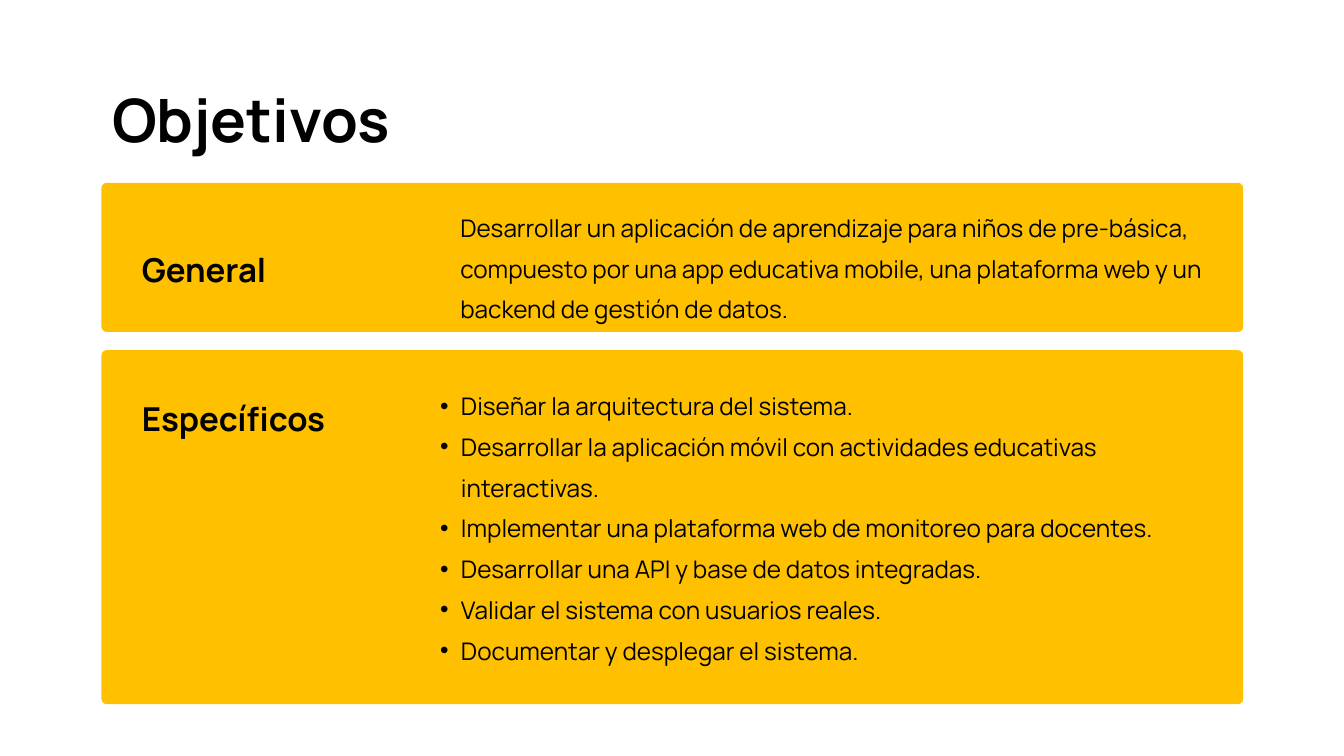
from lxml.etree import SubElement
from pptx import Presentation
from pptx.dml.color import RGBColor
from pptx.enum.shapes import MSO_SHAPE
from pptx.enum.text import MSO_ANCHOR, PP_ALIGN
from pptx.oxml.ns import qn
from pptx.util import Emu, Inches, Pt

AMBER = RGBColor(0xFF, 0xC0, 0x00)
BLACK = RGBColor(0x00, 0x00, 0x00)
WHITE = RGBColor(0xFF, 0xFF, 0xFF)

COLUMNS, ROWS = 20, 11.25
CORNER_RADIUS = 0.08

TITLE = {"size": Pt(64), "bold": True, "spacing": 1.08}
HEADING = {"size": Pt(35.3), "bold": True, "spacing": 1.77}
BODY = {"size": Pt(26), "bold": False, "spacing": 1.4}


class ObjectivesSlide:
    """Holds the style and the current slide; lengths are grid columns and rows."""

    font_name = "Manrope"

    def __init__(self, presentation):
        self.column = presentation.slide_width / COLUMNS
        self.row = presentation.slide_height / ROWS
        self.slide = presentation.slides.add_slide(presentation.slide_layouts[6])
        background = self.slide.background.fill
        background.solid()
        background.fore_color.rgb = WHITE

    def place(self, left, top, width, height):
        lengths = (left * self.column, top * self.row,
                   width * self.column, height * self.row)
        return [Emu(round(length)) for length in lengths]

    def panel(self, *area):
        shape = self.slide.shapes.add_shape(
            MSO_SHAPE.ROUNDED_RECTANGLE, *self.place(*area))
        shape.adjustments[0] = CORNER_RADIUS / min(area[2:])
        shape.shadow.inherit = False
        shape.fill.solid()
        shape.fill.fore_color.rgb = AMBER
        shape.line.fill.background()

    def text(self, lines, style, *area, bulleted=False):
        frame = self.slide.shapes.add_textbox(*self.place(*area)).text_frame
        settings = {"word_wrap": True, "vertical_anchor": MSO_ANCHOR.TOP,
                    "margin_left": 0, "margin_top": 0,
                    "margin_right": 0, "margin_bottom": 0}
        for name, value in settings.items():
            setattr(frame, name, value)
        for index, line in enumerate(lines):
            paragraph = frame.add_paragraph() if index else frame.paragraphs[0]
            if bulleted:
                self.bullet(paragraph)
            paragraph.alignment = PP_ALIGN.LEFT
            paragraph.line_spacing = style["spacing"]
            run = paragraph.add_run()
            run.text = line
            font_format = {"name": self.font_name, "size": style["size"],
                           "bold": style["bold"]}
            for name, value in font_format.items():
                setattr(run.font, name, value)
            run.font.color.rgb = BLACK

    def bullet(self, paragraph):
        properties = paragraph._p.get_or_add_pPr()
        properties.set("marL", str(Inches(0.61)))
        properties.set("indent", str(Inches(-0.31)))
        color = SubElement(properties, qn("a:buClr"))
        SubElement(color, qn("a:srgbClr"), val=str(BLACK))
        SubElement(properties, qn("a:buFont"), typeface="Arial")
        SubElement(properties, qn("a:buChar"), char="•")


def main():
    presentation = Presentation()
    presentation.slide_width = Inches(20)
    presentation.slide_height = Inches(11.25)
    objectives = ObjectivesSlide(presentation)

    # Panels
    for top, height in ((2.72, 2.22), (5.21, 5.27)):
        objectives.panel(1.51, top, 16.99, height)

    # Title
    objectives.text(["Objetivos"], TITLE, 1.67, 1.14, 16.65, 1.08)

    # General objective
    objectives.text(
        ["Desarrollar un aplicación de aprendizaje para niños de pre-básica, "
         "compuesto por una app educativa mobile, una plataforma web y un "
         "backend de gestión de datos."],
        BODY, 6.85, 3, 11.13, 2)

    # Specific objectives
    objectives.text(
        ["Diseñar la arquitectura del sistema.",
         "Desarrollar la aplicación móvil con actividades educativas interactivas.",
         "Implementar una plataforma web de monitoreo para docentes.",
         "Desarrollar una API y base de datos integradas.",
         "Validar el sistema con usuarios reales.",
         "Documentar y desplegar el sistema."],
        BODY, 6.25, 5.65, 11.72, 4.5, bulleted=True)

    # Panel headings
    for heading, top in (("General", 3.26), ("Específicos", 5.48)):
        objectives.text([heading], HEADING, 2.11, top, 4.15, 0.82)

    presentation.save("out.pptx")


if __name__ == "__main__":
    main()
